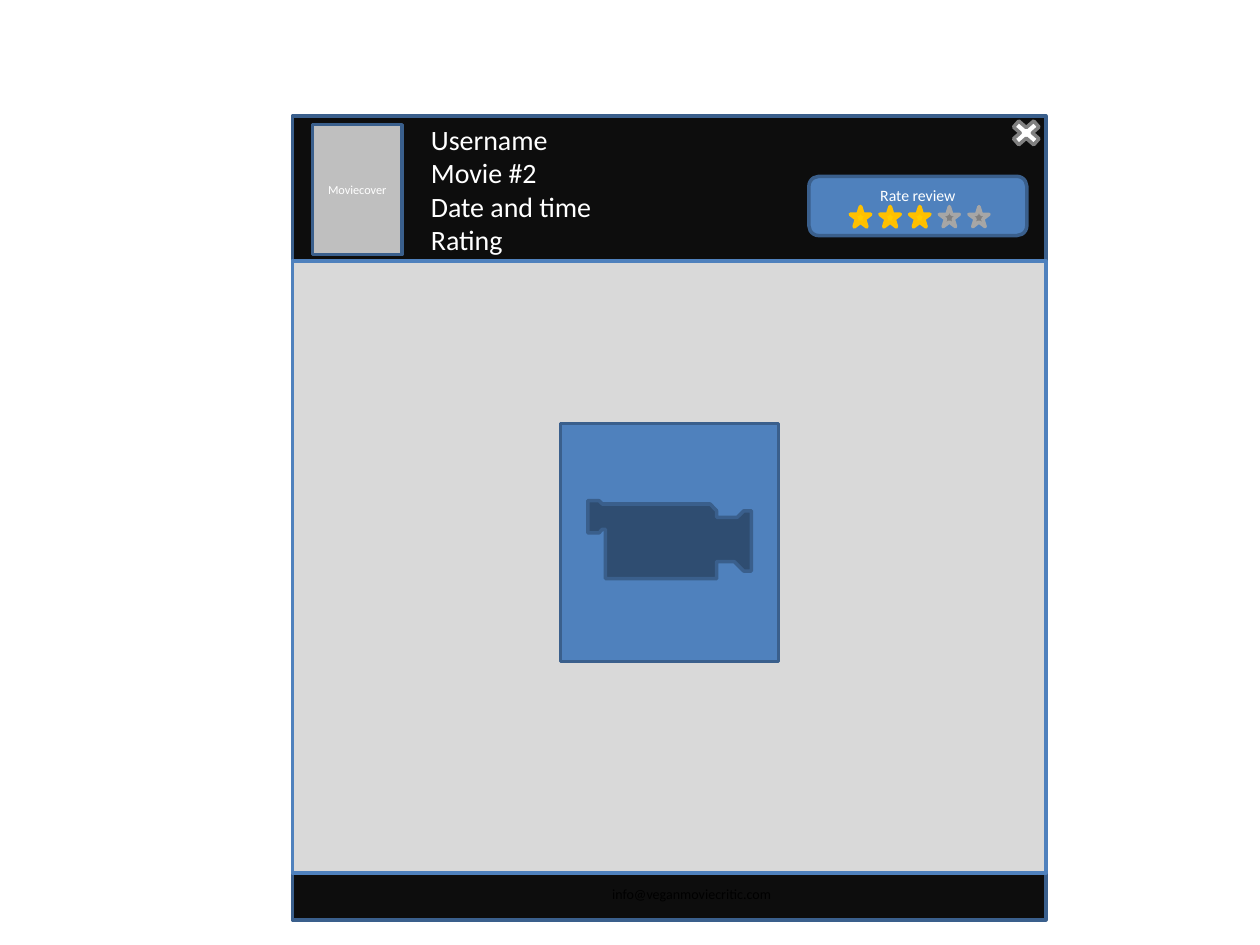
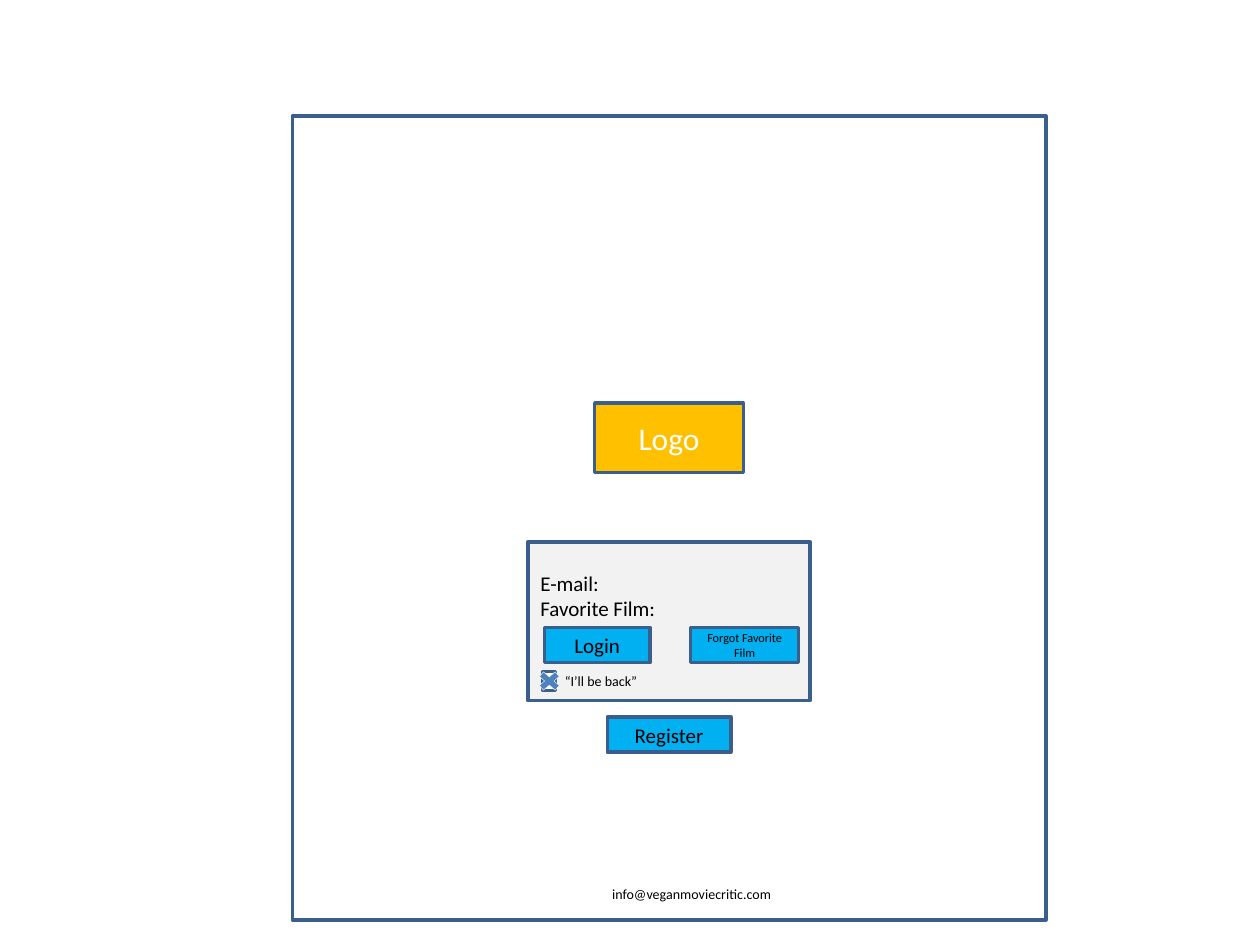
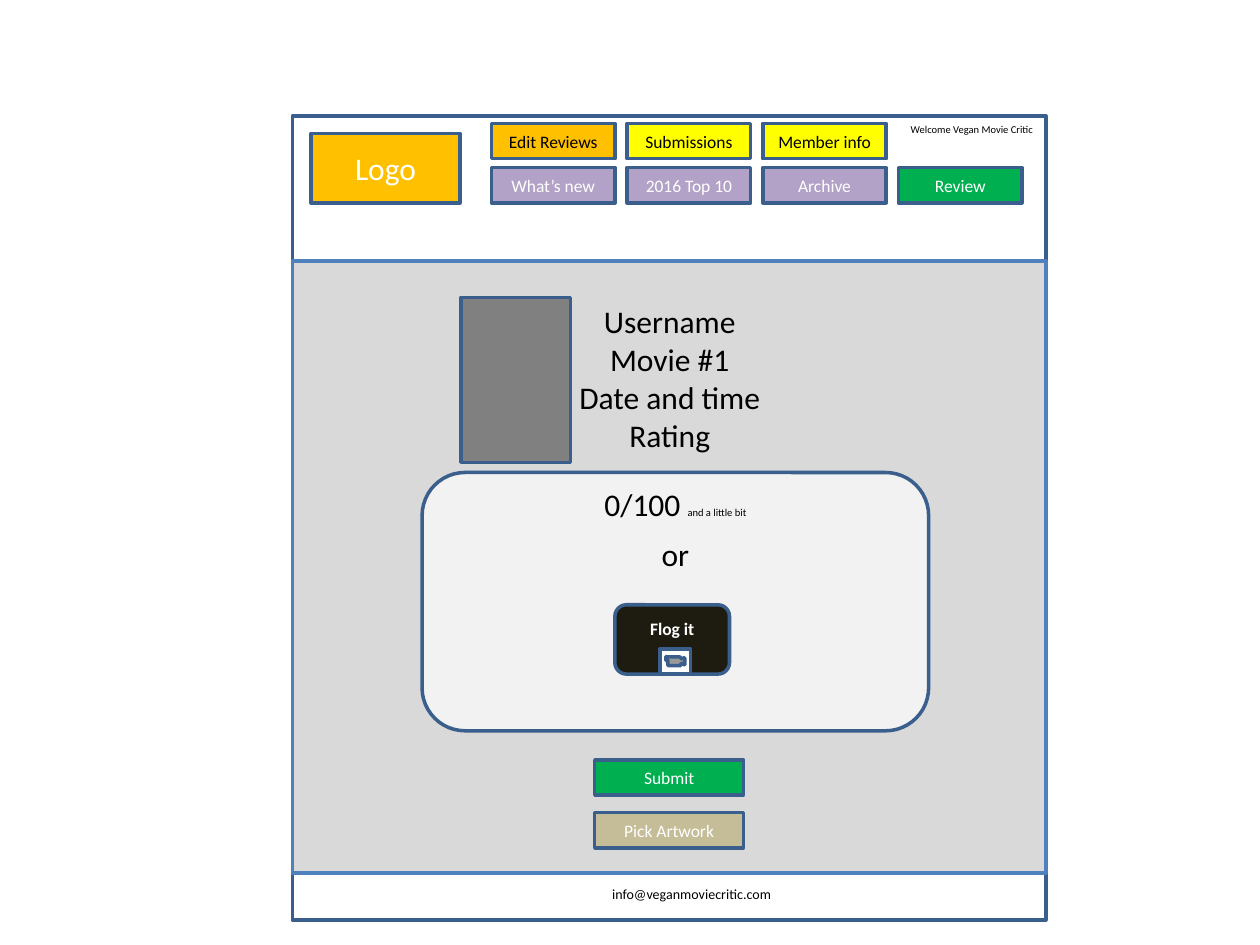
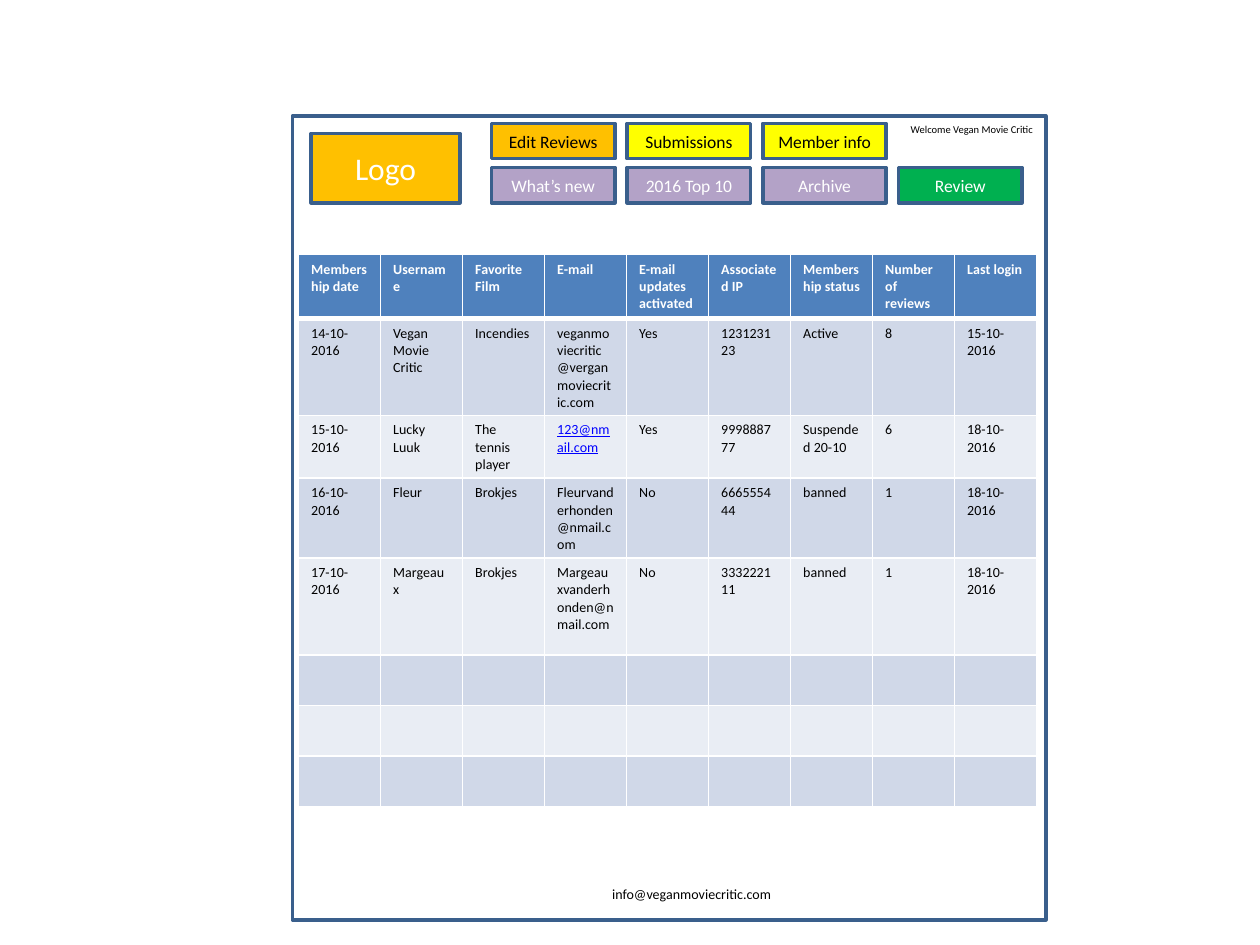
from dataclasses import dataclass

from lxml import etree
from pptx import Presentation
from pptx.dml.color import RGBColor
from pptx.enum.shapes import MSO_SHAPE
from pptx.enum.text import MSO_ANCHOR, MSO_AUTO_SIZE, PP_ALIGN
from pptx.oxml.ns import qn
from pptx.util import Inches, Pt

RECT = MSO_SHAPE.RECTANGLE
ROUNDED = MSO_SHAPE.ROUNDED_RECTANGLE
STAR = MSO_SHAPE.STAR_5_POINT
CROSS = MSO_SHAPE.MATH_MULTIPLY
MOVIE = MSO_SHAPE.ACTION_BUTTON_MOVIE
LEFT, CENTER = PP_ALIGN.LEFT, PP_ALIGN.CENTER
TOP, MIDDLE = MSO_ANCHOR.TOP, MSO_ANCHOR.MIDDLE
GROW = MSO_AUTO_SIZE.SHAPE_TO_FIT_TEXT

SLIDE_WIDTH, SLIDE_HEIGHT = Inches(10), Inches(7.5)
COLUMN, ROW = SLIDE_WIDTH / 100, SLIDE_HEIGHT / 75


@dataclass(frozen=True)
class Theme:
    font: str = "Calibri"
    white: str = "FFFFFF"
    black: str = "000000"
    night: str = "0D0D0D"
    coal: str = "1E1C11"
    blue: str = "4F81BD"
    outline: str = "3A5F8C"
    link: str = "0000FF"
    sky: str = "00B0F0"
    gold: str = "FFC000"
    star: str = "FFCC00"
    yellow: str = "FFFF00"
    green: str = "00B050"
    purple: str = "B3A2C7"
    sand: str = "C4BD97"
    panel: str = "F2F2F2"
    content: str = "D9D9D9"
    cover: str = "BFBFBF"
    dim: str = "A6A6A6"
    gray: str = "808080"
    band_dark: str = "D0D8E8"
    band_light: str = "E9EDF4"
    tiny: int = 6
    caption: int = 7
    small: int = 8
    badge: int = 9
    button: int = 10
    form: int = 12
    details: int = 16
    large: int = 18


THEME = Theme()


@dataclass(frozen=True)
class Box:
    col: float
    row: float
    cols: float
    rows: float

    def area(self, col, row, cols, rows):
        return Box(self.col + col, self.row + row, cols, rows)

    def emu(self):
        return (round(self.col * COLUMN), round(self.row * ROW),
                round(self.cols * COLUMN), round(self.rows * ROW))


PAGE = Box(23.2, 9.2, 59.8, 63.8)
HEADER = PAGE.area(0, 0, 59.8, 11.5)
CONTENT = PAGE.area(0, 11.5, 59.8, 48.6)
FOOTER = PAGE.area(0, 60.1, 59.8, 3.7)

REVIEW_DETAILS = "Username\nMovie #{}\nDate and time\nRating"
NAVIGATION = (
    (("Edit Reviews", THEME.gold, THEME.black),
     ("Submissions", THEME.yellow, THEME.black),
     ("Member info", THEME.yellow, THEME.black)),
    (("What’s new", THEME.purple, THEME.white),
     ("2016 Top 10", THEME.purple, THEME.white),
     ("Archive", THEME.purple, THEME.white),
     ("Review", THEME.green, THEME.white)),
)
MEMBER_FIELDS = ("Membership date", "Username", "Favorite Film", "E-mail",
                 "E-mail updates activated", "Associated IP",
                 "Membership status", "Number of reviews", "Last login")
MEMBERS = (
    ("14-10-2016", "Vegan Movie Critic", "Incendies",
     "veganmoviecritic@verganmoviecritic.com", "Yes", "123123123", "Active",
     "8", "15-10-2016"),
    ("15-10-2016", "Lucky Luuk", "The tennis player", "123@nmail.com", "Yes",
     "999888777", "Suspended 20-10", "6", "18-10-2016"),
    ("16-10-2016", "Fleur", "Brokjes", "Fleurvanderhonden@nmail.com", "No",
     "666555444", "banned", "1", "18-10-2016"),
    ("17-10-2016", "Margeaux", "Brokjes", "Margeauxvanderhonden@nmail.com",
     "No", "333222111", "banned", "1", "18-10-2016"),
)
MEMBER_ROWS = (5.1, 3.9, 3.9, 3.9, 7.7, 3.9, 3.9, 3.9)
LINKED_MAIL = "123@nmail.com"


def rgb(color):
    return RGBColor.from_string(color)


def style_runs(paragraph, size, color, bold=False):
    for run in paragraph.runs:
        run.font.name = THEME.font
        run.font.size = Pt(size)
        run.font.color.rgb = rgb(color)
        run.font.bold = bold


def write(frame, text, size, color, align=CENTER, anchor=MIDDLE, bold=False):
    frame.text = text
    frame.word_wrap = True
    frame.vertical_anchor = anchor
    for paragraph in frame.paragraphs:
        paragraph.alignment = align
        style_runs(paragraph, size, color, bold)


def draw(shapes, kind, box, fill, line=THEME.outline, width=2):
    shape = shapes.add_shape(kind, *box.emu())
    shape.shadow.inherit = False
    shape.fill.solid()
    shape.fill.fore_color.rgb = rgb(fill)
    shape.line.color.rgb = rgb(line)
    shape.line.width = Pt(width)
    return shape


def button(shapes, box, label, fill, color, size=THEME.button):
    write(draw(shapes, RECT, box, fill).text_frame, label, size, color)


def caption(shapes, box, text, size, align=LEFT):
    frame = shapes.add_textbox(*box.emu()).text_frame
    write(frame, text, size, THEME.black, align, TOP)
    frame.auto_size = GROW


def logo(shapes, box):
    button(shapes, box, "Logo", THEME.gold, THEME.white, THEME.large)


def page(shapes, fill=THEME.white):
    return draw(shapes, RECT, PAGE, fill)


def content_area(shapes, box):
    draw(shapes, RECT, box, THEME.content, THEME.blue)


def footer(shapes, box):
    caption(shapes, box.area(24.4, 0.5, 15.7, 2.4),
            "info@veganmoviecritic.com", THEME.small)


def site_header(shapes, box):
    logo(shapes, box.area(1.5, 1.4, 11.8, 5.5))
    for line, entries in enumerate(NAVIGATION):
        for place, (label, fill, color) in enumerate(entries):
            spot = box.area(15.8 + 10.77 * place, 0.6 + 3.5 * line, 9.8, 2.8)
            button(shapes, spot, label, fill, color)
    caption(shapes, box.area(48.1, 0.1, 17.6, 2), "Welcome Vegan Movie Critic",
            THEME.tiny)


def rating_badge(shapes, box, score):
    group = shapes.add_group_shape().shapes
    badge = draw(group, ROUNDED, box, THEME.blue)
    write(badge.text_frame, "Rate review", THEME.badge, THEME.white, anchor=TOP)
    for place in range(5):
        look = ((THEME.star, THEME.gold, 2.25) if place < score
                else (THEME.gray, THEME.dim, 2))
        draw(group, STAR, box.area(3.3 + 2.35 * place, 2.4, 1.6, 1.6), *look)


def review_header(shapes, box):
    draw(shapes, CROSS, box.area(56.7, 0, 3.1, 2.7), THEME.white, THEME.gray)
    rating_badge(shapes, box.area(41, 4.8, 17.3, 4.7), 3)
    button(shapes, box.area(1.6, 0.7, 7.1, 10.3), "Moviecover", THEME.cover,
           THEME.white, THEME.caption)


def login_form(shapes, box):
    fields = draw(shapes, RECT, box, THEME.panel).text_frame
    write(fields, "E-mail:\nFavorite Film:", THEME.form, THEME.black, LEFT)
    fields.margin_bottom = Inches(0.45)
    button(shapes, box.area(1.3, 6.8, 8.4, 2.8), "Login", THEME.sky,
           THEME.black, THEME.form)
    button(shapes, box.area(12.9, 6.8, 8.6, 2.8), "Forgot Favorite Film",
           THEME.sky, THEME.black, THEME.caption)
    remember = draw(shapes, RECT, box.area(1.2, 10.3, 9.2, 1.5), THEME.panel,
                    THEME.panel)
    write(remember.text_frame, "“I’ll be back”", THEME.small, THEME.black)
    draw(shapes, RECT, box.area(1.2, 10.3, 1, 1.5), THEME.white)
    draw(shapes, CROSS, box.area(0.5, 10, 2.4, 2.1), THEME.blue, THEME.white,
         0.25)


def score_panel(shapes, box):
    frame = draw(shapes, ROUNDED, box, THEME.panel).text_frame
    write(frame, "0/100 \nor", THEME.large, THEME.black, anchor=TOP)
    frame.margin_top = 0
    score, alternative = frame.paragraphs
    remark = score.add_run()
    remark.text = "and a little bit"
    remark.font.name = THEME.font
    remark.font.size = Pt(THEME.tiny)
    remark.font.color.rgb = rgb(THEME.black)
    alternative.space_before = Pt(7)
    flog = draw(shapes, ROUNDED, box.area(15.3, 10.5, 9.1, 5.5), THEME.coal)
    write(flog.text_frame, "Flog it", THEME.button, THEME.white, bold=True)
    flog.text_frame.margin_bottom = Inches(0.22)
    draw(shapes, MOVIE, box.area(18.9, 14, 2.4, 2), THEME.white)


def review_form(shapes, box):
    caption(shapes, box.area(20.5, 2.8, 18.9, 13.1), REVIEW_DETAILS.format(1),
            THEME.large, CENTER)
    draw(shapes, RECT, box.area(13.4, 2.9, 8.7, 13.1), THEME.gray)
    score_panel(shapes, box.area(10.3, 16.8, 40.2, 20.5))
    actions = (("Submit", THEME.green), ("Pick Artwork", THEME.sand))
    for place, (label, fill) in enumerate(actions):
        button(shapes, box.area(24, 39.6 + 4.2 * place, 11.8, 2.8), label,
               fill, THEME.white)


def border(cell, side, width):
    line = etree.SubElement(cell._tc.get_or_add_tcPr(), qn(f"a:{side}"),
                            w=str(Pt(width)))
    fill = etree.SubElement(line, qn("a:solidFill"))
    etree.SubElement(fill, qn("a:srgbClr"), val=THEME.white)


def member_cell(cell, text, fill, is_header):
    for side in ("lnL", "lnR", "lnT", "lnB"):
        border(cell, side, 3 if is_header and side == "lnB" else 1)
    cell.fill.solid()
    cell.fill.fore_color.rgb = rgb(fill)
    if text:
        cell.text = text
        paragraph = cell.text_frame.paragraphs[0]
        color = THEME.white if is_header else THEME.black
        style_runs(paragraph, THEME.small, color, is_header)
        if text == LINKED_MAIL:
            paragraph.runs[0].font.color.rgb = rgb(THEME.link)
            paragraph.runs[0].font.underline = True


def member_table(shapes, box):
    count = len(MEMBER_FIELDS)
    table = shapes.add_table(len(MEMBER_ROWS), count, *box.emu()).table
    entries = (MEMBER_FIELDS,) + MEMBERS
    for column in table.columns:
        column.width = round(box.cols / count * COLUMN)
    for line, rows in enumerate(MEMBER_ROWS):
        table.rows[line].height = round(rows * ROW)
        texts = entries[line] if line < len(entries) else ("",) * count
        band = THEME.band_dark if line % 2 else THEME.band_light
        fill = band if line else THEME.blue
        for place, text in enumerate(texts):
            member_cell(table.cell(line, place), text, fill, line == 0)


def review_slide(shapes):
    details = page(shapes, THEME.night).text_frame
    write(details, REVIEW_DETAILS.format(2), THEME.details, THEME.white, LEFT,
          TOP)
    details.margin_left = Inches(1.1)
    footer(shapes, FOOTER)
    content_area(shapes, CONTENT)
    draw(shapes, MOVIE, CONTENT.area(21.3, 12.9, 17.3, 18.9), THEME.blue)
    review_header(shapes, HEADER)


def login_slide(shapes):
    page(shapes)
    logo(shapes, PAGE.area(24, 22.8, 11.8, 5.5))
    login_form(shapes, PAGE.area(18.7, 33.8, 22.4, 12.6))
    button(shapes, PAGE.area(25, 47.7, 9.8, 2.8), "Register", THEME.sky,
           THEME.black, THEME.form)
    footer(shapes, FOOTER)


def submission_slide(shapes):
    page(shapes)
    content_area(shapes, CONTENT)
    site_header(shapes, HEADER)
    review_form(shapes, CONTENT)
    footer(shapes, FOOTER)


def members_slide(shapes):
    page(shapes)
    site_header(shapes, HEADER)
    member_table(shapes, PAGE.area(0.5, 11, 58.6, 36.2))
    footer(shapes, FOOTER)


def main():
    deck = Presentation()
    deck.slide_width, deck.slide_height = SLIDE_WIDTH, SLIDE_HEIGHT
    blank = deck.slide_layouts[6]
    for build in (review_slide, login_slide, submission_slide, members_slide):
        build(deck.slides.add_slide(blank).shapes)
    deck.save("out.pptx")


if __name__ == "__main__":
    main()
